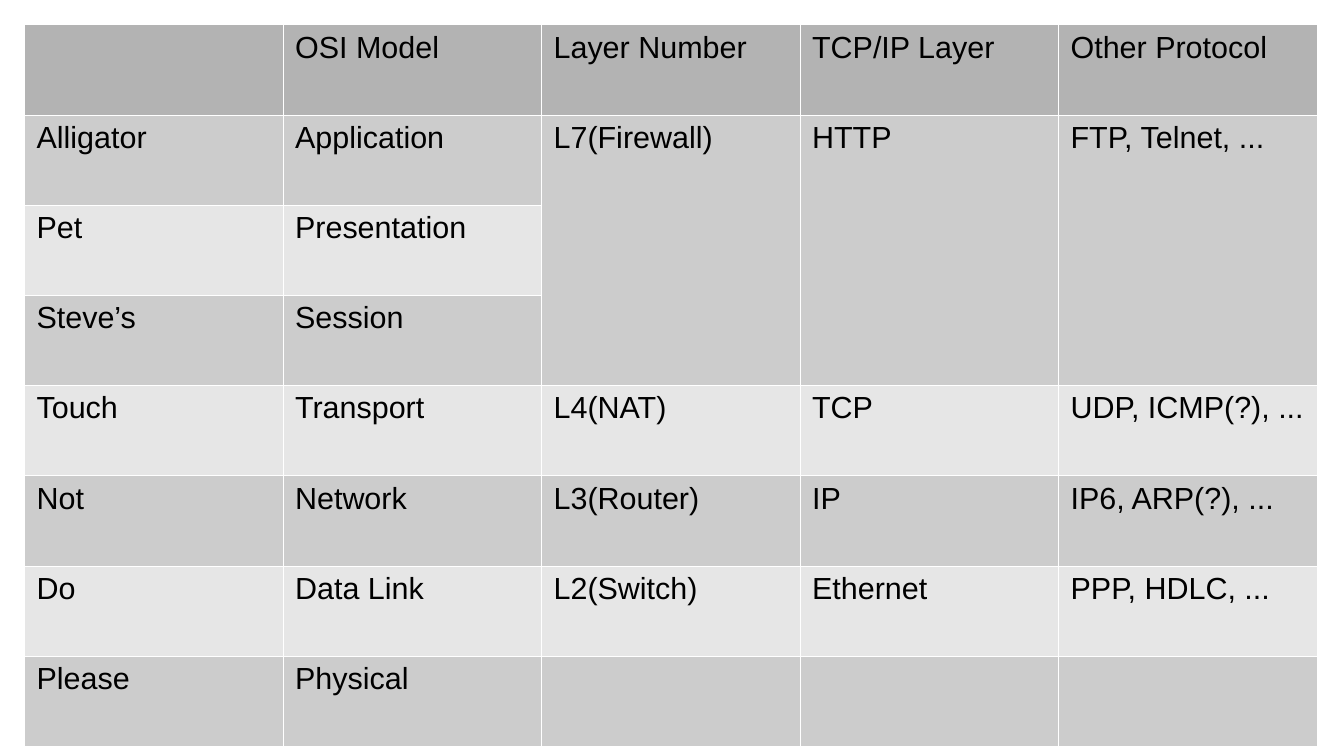
import pptx
import pptx.dml.color
import pptx.oxml.ns
import pptx.util
from lxml import etree

layers = [
    ["", "OSI Model", "Layer Number", "TCP/IP Layer", "Other Protocol"],
    ["Alligator", "Application", "L7(Firewall)", "HTTP", "FTP, Telnet, ..."],
    ["Pet", "Presentation", "", "", ""],
    ["Steve’s", "Session", "", "", ""],
    ["Touch", "Transport", "L4(NAT)", "TCP", "UDP, ICMP(?), ..."],
    ["Not", "Network", "L3(Router)", "IP", "IP6, ARP(?), ..."],
    ["Do", "Data Link", "L2(Switch)", "Ethernet", "PPP, HDLC, ..."],
    ["Please", "Physical", "", "", ""],
]
HEADER_FILL, ODD_FILL, EVEN_FILL = "B3B3B3", "CCCCCC", "E6E6E6"
RULE_COLOR, RULE_WIDTH = "FFFFFF", pptx.util.Pt(0.06)


def paint(color_format, hex_color):
    color_format.rgb = pptx.dml.color.RGBColor.from_string(hex_color)


def add_borders(cell):
    """Draw a thin rule on all four sides; call before the cell is filled."""
    properties = cell._tc.get_or_add_tcPr()
    for side in ("lnL", "lnR", "lnT", "lnB"):
        rule = etree.SubElement(properties, pptx.oxml.ns.qn(f"a:{side}"), w=str(RULE_WIDTH))
        fill = etree.SubElement(rule, pptx.oxml.ns.qn("a:solidFill"))
        etree.SubElement(fill, pptx.oxml.ns.qn("a:srgbClr"), val=RULE_COLOR)


deck = pptx.Presentation()
deck.slide_width = pptx.util.Inches(11.02)
deck.slide_height = pptx.util.Inches(6.2)
slide = deck.slides.add_slide(deck.slide_layouts[6])

row_count, column_count = len(layers), len(layers[0])
margin = pptx.util.Inches(0.2)
column_width = pptx.util.Inches(2.12)
row_height = pptx.util.Inches(0.74)
osi_table = slide.shapes.add_table(
    row_count, column_count, margin, margin,
    column_width * column_count, row_height * row_count,
).table

for row_index, layer in enumerate(layers):
    if row_index == 0:
        row_fill = HEADER_FILL
    else:
        row_fill = ODD_FILL if row_index % 2 else EVEN_FILL
    for column_index, wording in enumerate(layer):
        cell = osi_table.cell(row_index, column_index)
        add_borders(cell)
        cell.fill.solid()
        paint(cell.fill.fore_color, row_fill)
        if wording:
            run = cell.text_frame.paragraphs[0].add_run()
            run.text = wording
            run.font.name = "Arial"
            run.font.size = pptx.util.Pt(18)
            run.font.bold = False
            paint(run.font.color, "000000")

# The three upper layers share one number, one TCP/IP layer and one protocol list.
for column_index in range(2, column_count):
    osi_table.cell(1, column_index).merge(osi_table.cell(3, column_index))

deck.save("out.pptx")
